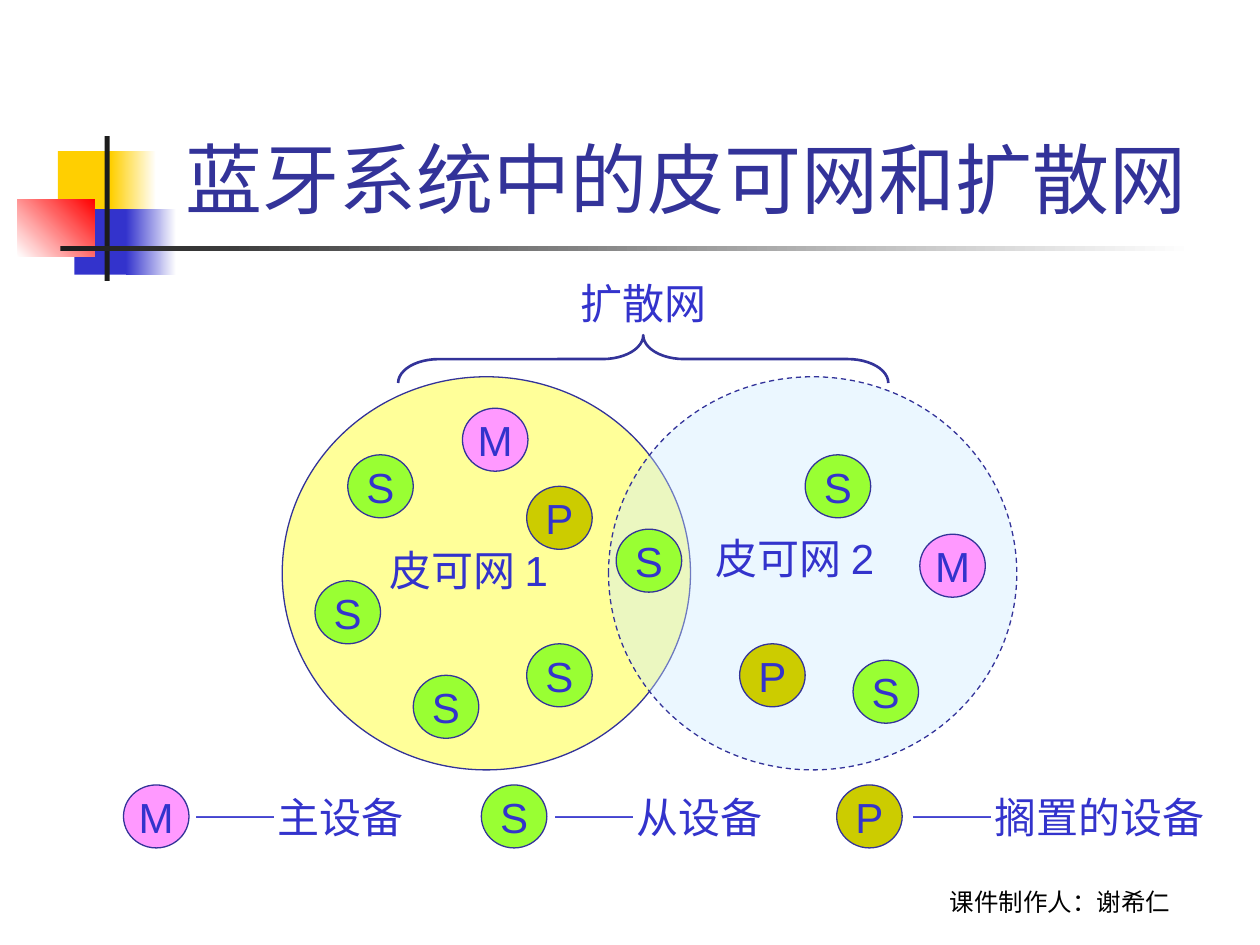
import pptx
import pptx.dml.color
import pptx.enum.dml
import pptx.enum.shapes
import pptx.enum.text
import pptx.oxml
import pptx.util
from pptx.util import Inches

SHAPE = pptx.enum.shapes.MSO_SHAPE
ANCHOR = pptx.enum.text.MSO_ANCHOR
ALIGN = pptx.enum.text.PP_ALIGN
AUTO_SIZE = pptx.enum.text.MSO_AUTO_SIZE

NAVY, BLUE, YELLOW, RED = "333399", "3333CC", "FFCF01", "FF0000"
BLACK, CHARCOAL, WHITE = "000000", "1C1C1C", "FFFFFF"
DEVICE_FILLS = {"M": "FF99FF", "S": "99FF33", "P": "CCCC00"}
DEVICE_W, DEVICE_H = 0.52, 0.5


def rgb(hex_color):
    return pptx.dml.color.RGBColor.from_string(hex_color)


class SlideBuilder:
    def __init__(self, slide, font="Arial", label_font="Roboto", size=24):
        self.slide = slide
        self.font = font
        self.label_font = label_font
        self.size = size

    def style(self, font, size, color, name):
        font.size = pptx.util.Pt(size)
        font.color.rgb = rgb(color)
        font.name = name

    def shape(self, kind, left, top, width, height):
        """Add a preset shape with no shadow, fill or line."""
        shape = self.slide.shapes.add_shape(
            kind, Inches(left), Inches(top), Inches(width), Inches(height))
        shape.shadow.inherit = False
        shape.fill.background()
        shape.line.fill.background()
        return shape

    def outline(self, shape, width=0.75):
        shape.line.color.rgb = rgb(NAVY)
        shape.line.width = pptx.util.Pt(width)

    def block(self, left, top, width, height, color, fade_to=None, angle=0):
        """Add a borderless bar, solid or fading to a second colour."""
        fill = self.shape(SHAPE.RECTANGLE, left, top, width, height).fill
        if fade_to is None:
            fill.solid()
            fill.fore_color.rgb = rgb(color)
            return
        fill.gradient()
        fill.gradient_angle = angle
        for stop, stop_color in zip(fill.gradient_stops, (color, fade_to)):
            stop.color.rgb = rgb(stop_color)

    def circle(self, left, top, width, height, color):
        circle = self.shape(SHAPE.OVAL, left, top, width, height)
        circle.fill.solid()
        circle.fill.fore_color.rgb = rgb(color)
        self.outline(circle)
        return circle

    def make_translucent(self, shape, percent):
        color = shape.fill._xPr.find(".//" + pptx.oxml.ns.qn("a:srgbClr"))
        alpha = color.makeelement(pptx.oxml.ns.qn("a:alpha"), {"val": str(percent * 1000)})
        color.append(alpha)

    def device(self, role, left, top):
        device = self.circle(left, top, DEVICE_W, DEVICE_H, DEVICE_FILLS[role])
        frame = device.text_frame
        frame.word_wrap = False
        frame.vertical_anchor = ANCHOR.MIDDLE
        letter = frame.paragraphs[0]
        letter.text = role
        letter.alignment = ALIGN.CENTER
        self.style(letter.font, self.size, BLUE, self.font)

    def text_box(self, left, top, width, height=0.5):
        box = self.slide.shapes.add_textbox(
            Inches(left), Inches(top), Inches(width), Inches(height))
        return box.text_frame

    def one_line(self, left, top, width):
        """Add a text box that fits its single line; return its paragraph."""
        frame = self.text_box(left, top, width)
        frame.word_wrap = False
        frame.auto_size = AUTO_SIZE.SHAPE_TO_FIT_TEXT
        return frame.paragraphs[0]

    def label(self, text, left, top, width):
        line = self.one_line(left, top, width)
        line.text = text
        self.style(line.font, self.size, BLUE, self.font)

    def legend_label(self, meaning, left, top, width):
        line = self.one_line(left, top, width)
        for text, name in (("——", self.font), (meaning, self.label_font)):
            run = line.add_run()
            run.text = text
            self.style(run.font, self.size, BLUE, name)

    def credit(self, text, left, top, width):
        frame = self.text_box(left, top, width)
        frame.word_wrap = True
        frame.vertical_anchor = ANCHOR.BOTTOM
        line = frame.paragraphs[0]
        line.text = text
        line.alignment = ALIGN.CENTER
        self.style(line.font, 14, BLACK, self.label_font)

    def title(self, text, left, top, width, height):
        title = self.slide.shapes.title
        title.left, title.top = Inches(left), Inches(top)
        title.width, title.height = Inches(width), Inches(height)
        frame = title.text_frame
        frame.auto_size = AUTO_SIZE.NONE
        frame.vertical_anchor = ANCHOR.BOTTOM
        line = frame.paragraphs[0]
        line.text = text
        line.alignment = ALIGN.CENTER
        self.style(line.font, 44, NAVY, self.font)

    def brace_above(self, left, top, width, height):
        """Add a brace pointing up: a left brace turned a quarter clockwise."""
        brace = self.shape(SHAPE.LEFT_BRACE, left + (width - height) / 2,
                           top + (height - width) / 2, height, width)
        brace.rotation = 90
        brace.adjustments[0] = 0.85
        self.outline(brace, 1.5)


def main():
    deck = pptx.Presentation()
    deck.slide_width, deck.slide_height = Inches(10), Inches(7.5)
    page = SlideBuilder(deck.slides.add_slide(deck.slide_layouts[5]))

    page.block(0.46, 1.2, 0.48, 0.52, YELLOW)
    page.block(0.88, 1.2, 0.36, 0.52, YELLOW, WHITE)
    page.block(0.59, 1.66, 0.46, 0.52, BLUE)
    page.block(1, 1.66, 0.4, 0.52, BLUE, WHITE)
    page.block(0.14, 1.58, 0.61, 0.46, WHITE, RED, angle=45)
    page.block(0.83, 1.08, 0.04, 1.15, CHARCOAL)
    page.block(0.48, 1.95, 9, 0.04, CHARCOAL, WHITE)
    page.credit("课件制作人：谢希仁", 6.83, 6.82, 3.17)
    page.title("蓝牙系统中的皮可网和扩散网 ", 1.26, 0.23, 8.52, 1.6)

    page.circle(2.24, 2.99, 3.24, 3.12, "FFFF99")
    piconet_2 = page.circle(4.83, 2.99, 3.24, 3.12, "CCECFF")
    page.make_translucent(piconet_2, 39)
    piconet_2.line.dash_style = pptx.enum.dml.MSO_LINE.DASH

    devices = {
        "M": [(3.67, 3.24), (7.3, 4.24)],
        "S": [(2.5, 4.61), (2.76, 3.61), (4.89, 4.2), (4.18, 5.11),
              (3.28, 5.36), (6.77, 5.24), (6.39, 3.61)],
        "P": [(5.87, 5.11), (4.18, 3.86)],
    }
    for role, places in devices.items():
        for left, top in places:
            page.device(role, left, top)

    page.label("皮可网 2", 5.58, 4.18, 1.54)
    page.label("扩散网", 4.51, 2.15, 1.22)
    page.brace_above(3.16, 2.66, 3.89, 0.38)
    page.label("皮可网 1", 2.99, 4.27, 1.54)

    legend_top = 6.23
    legend = [("M", 0.98, "主设备", 1.44, 1.89),
              ("S", 3.82, "从设备", 4.29, 1.89),
              ("P", 6.64, "搁置的设备", 7.13, 2.56)]
    for role, device_left, meaning, label_left, label_width in legend:
        page.device(role, device_left, legend_top)
        page.legend_label(meaning, label_left, legend_top, label_width)

    deck.save("out.pptx")


if __name__ == "__main__":
    main()
